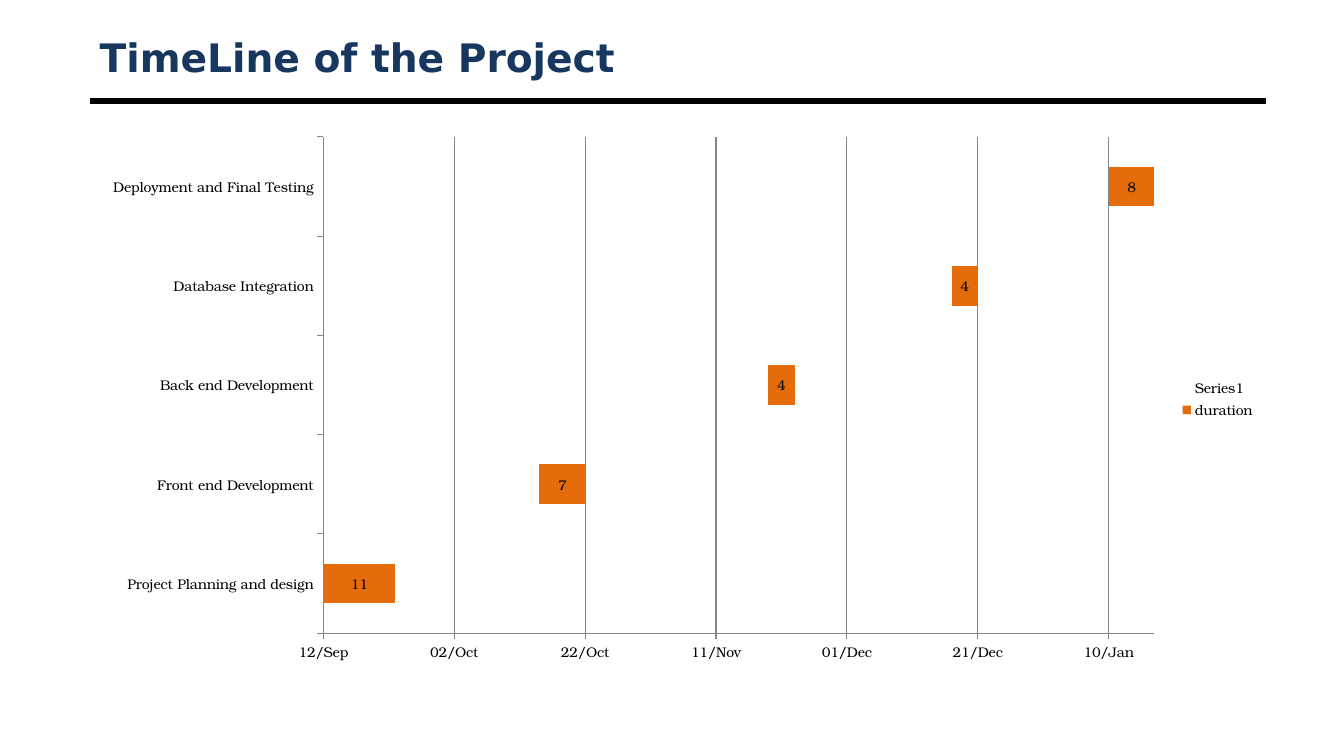
from lxml.etree import SubElement
from pptx import Presentation
from pptx.chart.data import CategoryChartData
from pptx.dml.color import RGBColor
from pptx.enum.chart import (XL_CHART_TYPE as ChartType, XL_LEGEND_POSITION as LegendPosition,
                             XL_TICK_MARK as TickMark)
from pptx.enum.shapes import MSO_CONNECTOR as Connector
from pptx.enum.text import MSO_ANCHOR as Anchor, PP_ALIGN as Align
from pptx.oxml.ns import qn
from pptx.util import Pt

COLORS = {name: RGBColor.from_string(value) for name, value in {
    "title": "17375E", "rule": "000000", "text": "000000",
    "grid": "868686", "duration": "E46C0A"}.items()}
TITLE_FONT, CHART_FONT = "DejaVu Sans", "TeX Gyre Bonum"

# Task, start day (date serial number) and duration in days
TASKS = [
    ("Project Planning and design", 45547, 11),
    ("Front end Development", 45580, 7),
    ("Back end Development", 45615, 4),
    ("Database Integration", 45643, 4),
    ("Deployment and Final Testing", 45667, 8),
]
FIRST_DAY, LAST_DAY, DAYS_PER_MARK = 45547, 45674, 20


def add_heading(slide, left, top, width, height):
    """Title with a thick rule below it."""
    heading = slide.shapes.title
    heading.left, heading.top = Pt(left), Pt(top)
    heading.width, heading.height = Pt(width), Pt(height)
    frame = heading.text_frame
    frame.text = "TimeLine of the Project"
    frame.vertical_anchor = Anchor.MIDDLE
    paragraph = frame.paragraphs[0]
    paragraph.alignment = Align.LEFT
    font = paragraph.runs[0].font
    font.name, font.size, font.bold = TITLE_FONT, Pt(28), True
    font.color.rgb = COLORS["title"]

    rule_top = Pt(top + height + 12.5)
    rule = slide.shapes.add_connector(
        Connector.STRAIGHT, Pt(left), rule_top, Pt(left + width), rule_top)
    rule.line.color.rgb = COLORS["rule"]
    rule.line.width = Pt(4.5)
    SubElement(rule._element.spPr, qn("a:effectLst"))


def add_gantt(slide, left, top, width, height):
    """Stacked bars: an unfilled start offset, then the duration."""
    tasks, starts, durations = zip(*TASKS)
    data = CategoryChartData()
    data.categories = tasks
    data.add_series("Series1", starts)
    data.add_series("duration", durations)
    gantt = slide.shapes.add_chart(ChartType.BAR_STACKED, Pt(left), Pt(top),
                                   Pt(width), Pt(height), data).chart
    gantt.has_title = False
    gantt.font.name, gantt.font.size = CHART_FONT, Pt(10)
    gantt.font.color.rgb = COLORS["text"]
    gantt.has_legend = True
    gantt.legend.position = LegendPosition.RIGHT
    gantt.legend.include_in_layout = False

    # Bars
    plot = gantt.plots[0]
    plot.gap_width, plot.overlap, plot.vary_by_categories = 150, 100, False
    start_bars, duration_bars = plot.series
    start_bars.format.fill.background()
    start_bars.format.line.fill.background()
    duration_bars.format.fill.solid()
    duration_bars.format.fill.fore_color.rgb = COLORS["duration"]
    duration_bars.data_labels.show_value = True

    # Axes
    days = gantt.value_axis
    days.minimum_scale, days.maximum_scale = FIRST_DAY, LAST_DAY
    days.major_unit = DAYS_PER_MARK
    days.has_major_gridlines = True
    days.tick_labels.number_format = "dd/mmm"
    days.tick_labels.number_format_is_linked = False
    for axis in (days, gantt.category_axis):
        axis.major_tick_mark, axis.minor_tick_mark = TickMark.OUTSIDE, TickMark.NONE
    for part in (days, days.major_gridlines, gantt.category_axis):
        part.format.line.color.rgb = COLORS["grid"]
        part.format.line.width = Pt(0.75)


def main():
    deck = Presentation()
    deck.slide_width, deck.slide_height = Pt(960), Pt(540)
    slide = deck.slides.add_slide(deck.slide_layouts[5])
    add_heading(slide, 64, 21.5, 840, 38)
    add_gantt(slide, 64, 90, 840, 390)
    deck.save("out.pptx")


if __name__ == "__main__":
    main()
